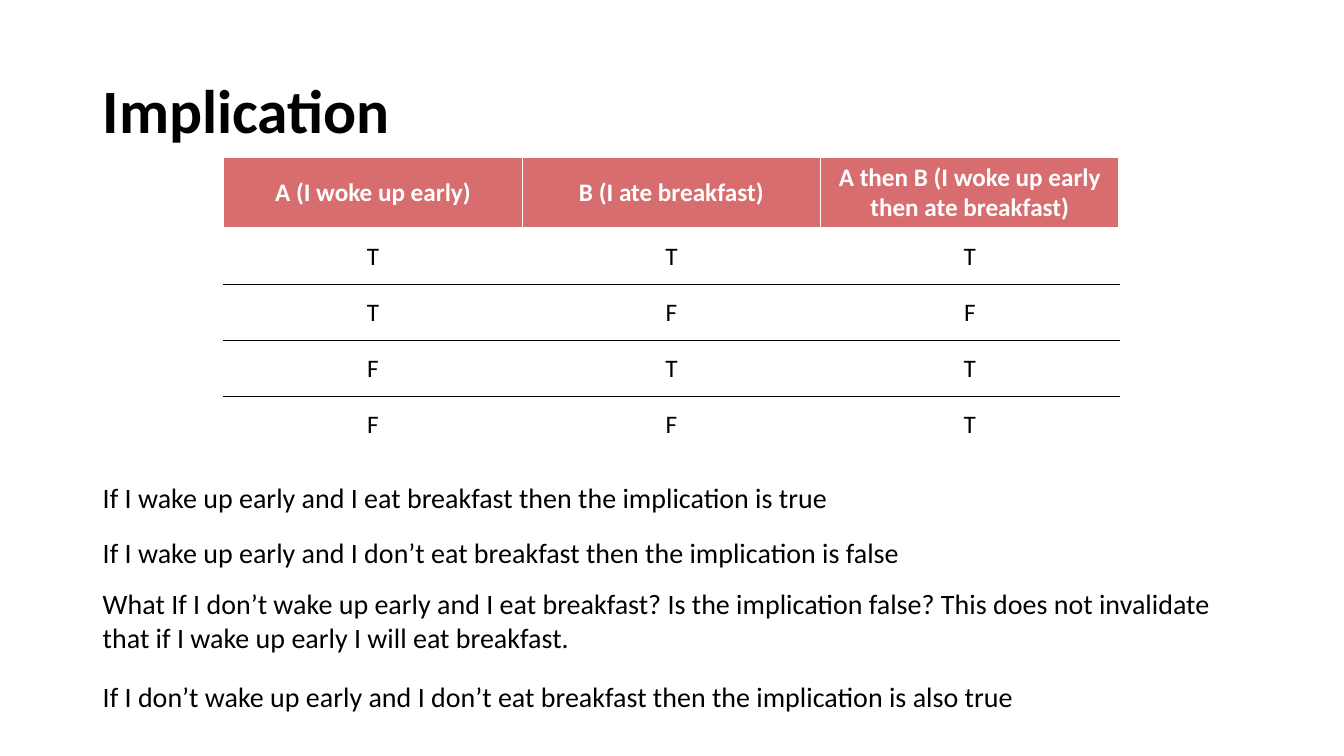
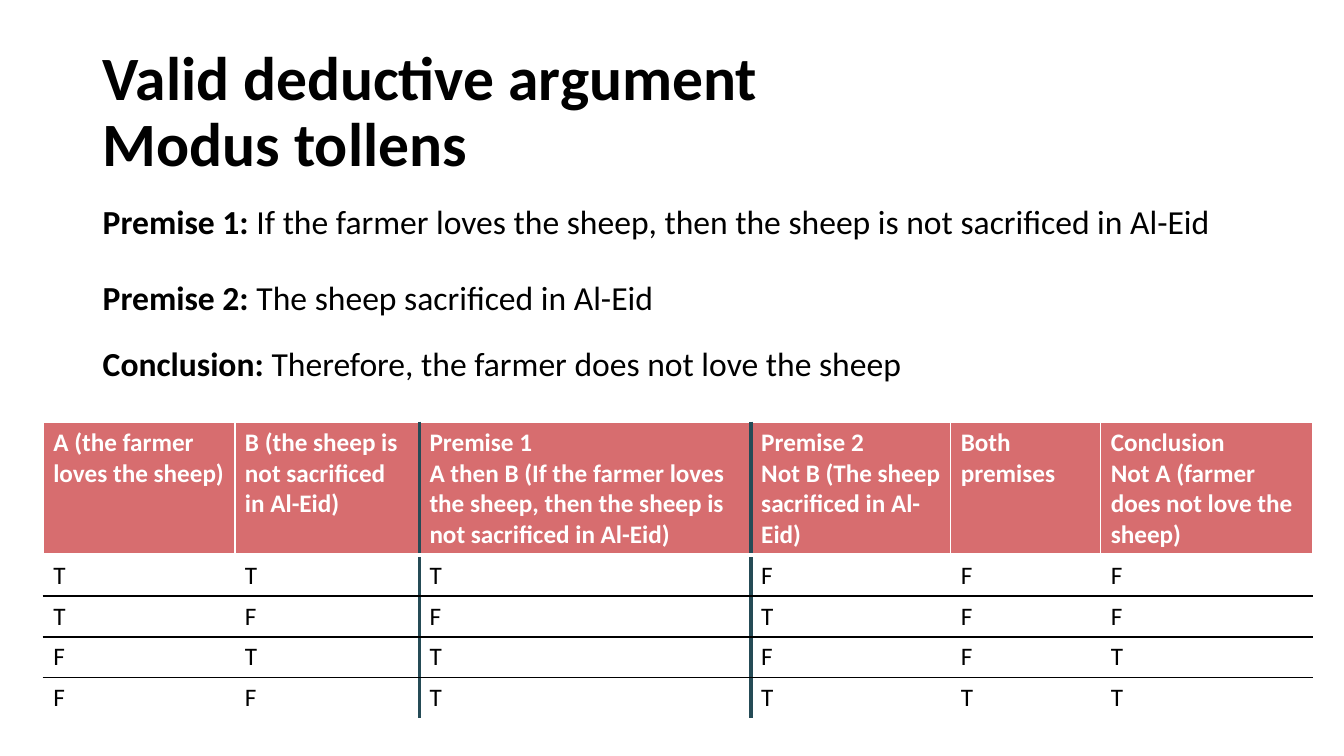
import pptx
import pptx.util
import pptx.dml.color
import pptx.enum.text
import pptx.oxml

Cm, Pt = pptx.util.Cm, pptx.util.Pt
ALIGN, ANCHOR = pptx.enum.text.PP_ALIGN, pptx.enum.text.MSO_ANCHOR

FONT = "Calibri"
COLORS = {"text": "000000", "paper": "FFFFFF", "header": "D76D6F", "divider": "254B56"}
LEFT = 2.34

# Lines are (top, bold label, text); all lengths are in centimetres.
SLIDES = [
    {
        "title": "Implication",
        "line_size": 20,
        "line_width": 28.88,
        "lines": [
            (11.99, "", "If I wake up early and I eat breakfast then the implication is true"),
            (13.36, "", "If I wake up early and I don’t eat breakfast then the implication is false"),
            (14.66, "", "What If I don’t wake up early and I eat breakfast? Is the implication false? "
                        "This does not invalidate that if I wake up early I will eat breakfast."),
            (16.99, "", "If I don’t wake up early and I don’t eat breakfast then the implication is also true"),
        ],
        "table": {
            "at": (5.64, 3.96),
            "widths": [7.52] * 3,
            "header_height": 1.8,
            "row_height": 1.41,
            "align": ALIGN.CENTER,
            "anchor": ANCHOR.MIDDLE,
            "dividers": [],
            "header": ["A (I woke up early)", "B (I ate breakfast)",
                       "A then B (I woke up early then ate breakfast)"],
            "rows": ["TTT", "TFF", "FTT", "FFT"],
        },
    },
    {
        "title": "Valid deductive argument\nModus tollens",
        "line_size": 24,
        "line_width": 31.12,
        "lines": [
            (4.93, "Premise 1:", " If the farmer loves the sheep, then the sheep is not sacrificed in Al-Eid"),
            (6.86, "Premise 2:", " The sheep sacrificed in Al-Eid"),
            (8.51, "Conclusion:", " Therefore, the farmer does not love the sheep"),
        ],
        "table": {
            "at": (1.09, 10.64),
            "widths": [4.83, 4.65, 8.36, 5.03, 3.78, 5.33],
            "header_height": 3.35,
            "row_height": 1.03,
            "align": ALIGN.LEFT,
            "anchor": ANCHOR.TOP,
            "dividers": [2, 3],  # columns with a thick line on their left
            "header": [
                "A (the farmer loves the sheep)",
                "B (the sheep is not sacrificed in Al-Eid)",
                "Premise 1\nA then B (If the farmer loves the sheep, then the sheep is not sacrificed in Al-Eid)",
                "Premise 2\nNot B (The sheep sacrificed in Al-Eid)",
                "Both premises",
                "Conclusion\nNot A (farmer does not love the sheep)",
            ],
            "rows": ["TTTFFF", "TFFTFF", "FTTFFT", "FFTTTT"],
        },
    },
]


def rgb(name):
    return pptx.dml.color.RGBColor.from_string(COLORS[name])


def style(p, size, color="text", bold=None):
    p.font.name = FONT
    p.font.size = Pt(size)
    p.font.color.rgb = rgb(color)
    p.font.bold = bold


def add_text_box(slide, *box):
    tf = slide.shapes.add_textbox(*map(Cm, box)).text_frame
    tf.word_wrap = True
    return tf


def add_title(slide, text):
    tf = add_text_box(slide, LEFT, 1.02, 29.21, 3.68)
    tf.vertical_anchor = ANCHOR.MIDDLE
    p = tf.paragraphs[0]
    p.text = text.replace("\n", "\v")
    p.line_spacing = 0.9
    style(p, 44, bold=True)


def add_line(slide, top, label, text, width, size):
    p = add_text_box(slide, LEFT, top, width, 1.12).paragraphs[0]
    style(p, size)
    for part, bold in ((label, True), (text, False)):
        if part:
            r = p.add_run()
            r.text = part
            r.font.bold = bold


def set_borders(cell, borders):
    """Draw the cell's sides, given as (color name, points) in the order L, R, T, B."""
    props = cell._tc.get_or_add_tcPr()
    for i, (side, (color, width)) in enumerate(zip("LRTB", borders)):
        props.insert(i, pptx.oxml.parse_xml(
            f'<a:ln{side} xmlns:a="http://schemas.openxmlformats.org/drawingml/2006/main" '
            f'w="{Pt(width)}"><a:solidFill><a:srgbClr val="{COLORS[color]}"/></a:solidFill></a:ln{side}>'))


def add_truth_table(slide, data):
    rows = [data["header"], *data["rows"]]
    heights = [data["header_height"]] + [data["row_height"]] * len(data["rows"])
    widths = data["widths"]
    table = slide.shapes.add_table(
        len(rows), len(widths), *map(Cm, (*data["at"], sum(widths), sum(heights)))).table
    table.horz_banding = False
    for column, width in zip(table.columns, widths):
        column.width = Cm(width)
    for row, height in zip(table.rows, heights):
        row.height = Cm(height)

    thin, thick = ("paper", 1), ("divider", 3)
    rules = [thin, ("paper", 3)] + [("text", 1)] * (len(rows) - 2) + [thin]
    edges = [thick if c in data["dividers"] else thin for c in range(len(widths) + 1)]
    for r, texts in enumerate(rows):
        for c, text in enumerate(texts):
            cell = table.cell(r, c)
            cell.text = text
            cell.vertical_anchor = data["anchor"]
            for p in cell.text_frame.paragraphs:
                p.alignment = data["align"]
                style(p, 18, "text" if r else "paper", bold=r == 0)
            if r == 0:
                cell.fill.solid()
                cell.fill.fore_color.rgb = rgb("header")
            else:
                cell.fill.background()
            set_borders(cell, (edges[c], edges[c + 1], rules[r], rules[r + 1]))


def main():
    prs = pptx.Presentation()
    prs.slide_width, prs.slide_height = Cm(33.87), Cm(19.05)
    for content in SLIDES:
        slide = prs.slides.add_slide(prs.slide_layouts[6])
        add_title(slide, content["title"])
        add_truth_table(slide, content["table"])
        for line in content["lines"]:
            add_line(slide, *line, content["line_width"], content["line_size"])
    prs.save("out.pptx")


if __name__ == "__main__":
    main()
